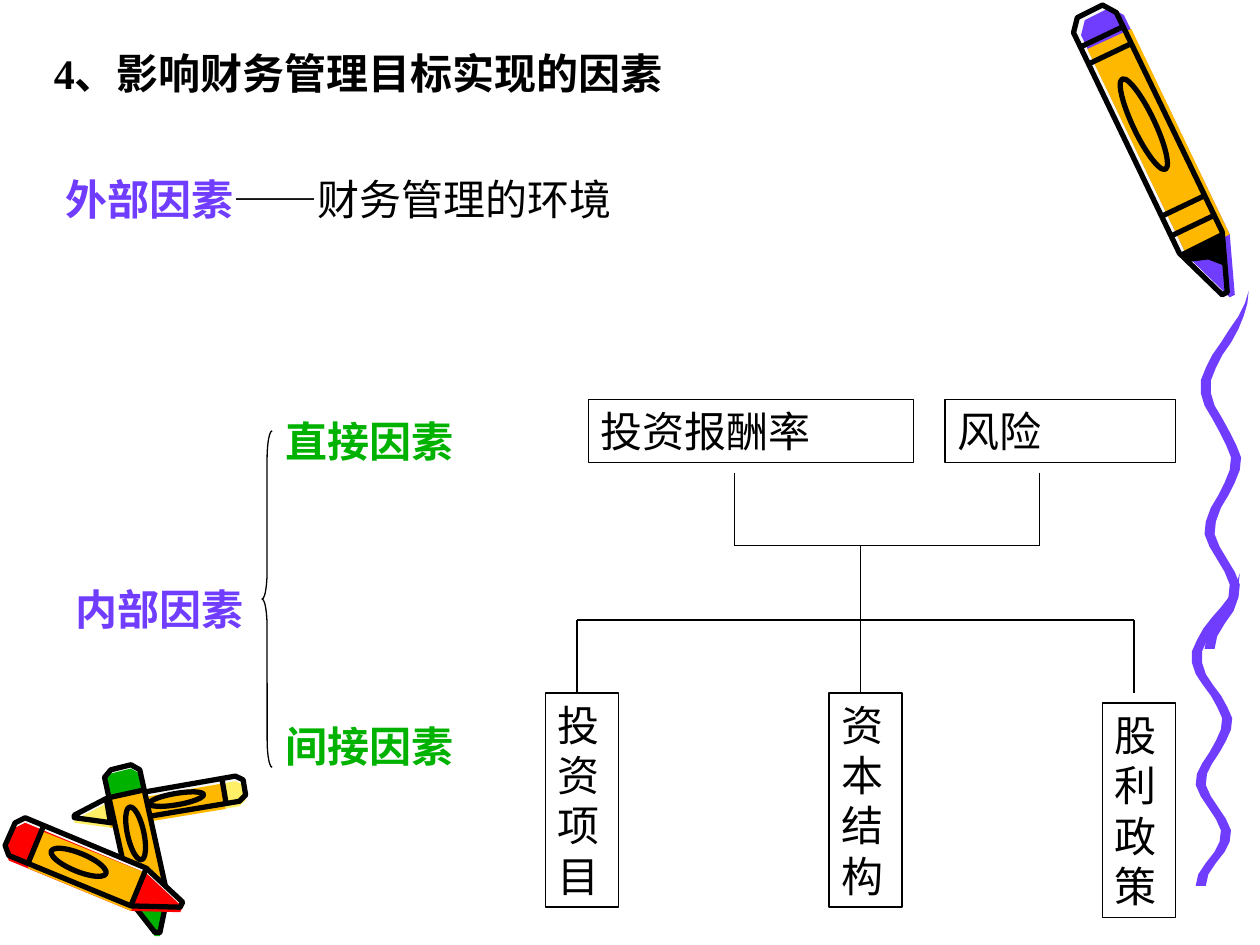
from dataclasses import dataclass
from math import atan2, cos, degrees, hypot, pi
from lxml.etree import SubElement
from pptx import Presentation
from pptx.dml.color import RGBColor
from pptx.enum.shapes import MSO_CONNECTOR, MSO_SHAPE
from pptx.enum.text import MSO_ANCHOR, MSO_AUTO_SIZE, PP_ALIGN
from pptx.oxml.ns import qn
from pptx.util import Inches, Pt


@dataclass(frozen=True)
class Theme:
    black: str = "000000"
    white: str = "F8F8F8"
    purple: str = "703DFF"
    green: str = "00B200"
    orange: str = "FFB800"
    yellow: str = "FFEF66"
    red: str = "FF0000"
    font: str = "Times New Roman"
    text_size: float = 24
    thin: float = 0.75
    thick: float = 3


THEME = Theme()
FRAME_FORMAT = {
    "word_wrap": True, "auto_size": MSO_AUTO_SIZE.SHAPE_TO_FIT_TEXT,
    "vertical_anchor": MSO_ANCHOR.TOP,
    "margin_left": Inches(0.1), "margin_right": Inches(0.1),
    "margin_top": Inches(0.05), "margin_bottom": Inches(0.05),
}


@dataclass(frozen=True)
class Crayon:
    blunt_end: tuple
    tip: tuple
    width: float
    core_color: str
    color_shift: tuple        # the colour is printed slightly off the black outline
    sleeve: tuple             # start and end along the crayon, 0 blunt end, 1 tip
    bands: tuple              # positions of the black rings along the crayon
    shaded_tip: bool = False

    @property
    def direction(self):
        return self.tip[0] - self.blunt_end[0], self.tip[1] - self.blunt_end[1]

    @property
    def length(self):
        return hypot(*self.direction)

    def point(self, along, across, shift=(0, 0)):
        """Place a point given as fractions of the length and of the width."""
        run, rise = self.direction
        sideways = across * self.width / self.length
        return (self.blunt_end[0] + along * run + sideways * rise + shift[0],
                self.blunt_end[1] + along * rise - sideways * run + shift[1])

    def points(self, local_points, shift=(0, 0)):
        return [self.point(along, across, shift) for along, across in local_points]


LARGE_CRAYON = Crayon((8.65, 0.09), (9.72, 2.33), 0.38, THEME.purple, (0.06, 0.02),
                      (0.09, 0.82), (0.09, 0.15, 0.69, 0.76), shaded_tip=True)
SMALL_CRAYONS = [
    Crayon((1.94, 6.25), (0.59, 6.48), 0.2, THEME.yellow, (0, 0.04), (0.12, 0.8), (0.12, 0.8)),
    Crayon((0.96, 6.09), (1.25, 7.4), 0.29, THEME.green, (0, 0.03), (0.14, 0.8), (0.16, 0.8)),
    Crayon((0.08, 6.62), (1.44, 7.18), 0.32, THEME.red, (0, 0.04), (0.15, 0.75), (0.15, 0.75)),
]


def style_line(line, width):
    line.color.rgb = RGBColor.from_string(THEME.black)
    line.width = Pt(width)


def add_polygon(slide, points, color, line_width=None):
    hundredths = [(round(x * 100), round(y * 100)) for x, y in points]
    builder = slide.shapes.build_freeform(*hundredths[0], scale=Inches(0.01))
    builder.add_line_segments(hundredths[1:], close=True)
    shape = builder.convert_to_shape()
    shape.shadow.inherit = False
    if color:
        shape.fill.solid()
        shape.fill.fore_color.rgb = RGBColor.from_string(color)
    else:
        shape.fill.background()
    if line_width:
        style_line(shape.line, line_width)
    else:
        shape.line.fill.background()


def add_line(slide, start, end, width=THEME.thin):
    ends = [Inches(value) for value in (*start, *end)]
    connector = slide.shapes.add_connector(MSO_CONNECTOR.STRAIGHT, *ends)
    style_line(connector.line, width)
    SubElement(connector._element.spPr, qn("a:effectLst"))


def add_preset(slide, preset, *box, line_width=THEME.thin):
    shape = slide.shapes.add_shape(preset, *[Inches(value) for value in box])
    shape.shadow.inherit = False
    shape.fill.background()
    style_line(shape.line, line_width)
    return shape


def write_text(shape, runs):
    for name, value in FRAME_FORMAT.items():
        setattr(shape.text_frame, name, value)
    paragraph = shape.text_frame.paragraphs[0]
    paragraph.alignment = PP_ALIGN.LEFT
    for text, color, bold in runs:
        run = paragraph.add_run()
        run.text = text
        font_format = {"name": THEME.font, "size": Pt(THEME.text_size), "bold": bold}
        for name, value in font_format.items():
            setattr(run.font, name, value)
        run.font.color.rgb = RGBColor.from_string(color)


def add_label(slide, left, top, width, *runs):
    box = [Inches(value) for value in (left, top, width, 0.5)]
    write_text(slide.shapes.add_textbox(*box), runs)


def add_box(slide, text, *box):
    write_text(add_preset(slide, MSO_SHAPE.RECTANGLE, *box), [(text, THEME.black, False)])


def add_crayon(slide, crayon):
    # One half of the outline, mirrored across the axis for the other half
    sleeve_start, shoulder = crayon.sleeve
    half = [(0, 0.3), (0.04, 0.5), (shoulder, 0.5), (1, 0.06)]
    outline = half + [(along, -across) for along, across in reversed(half)]
    sleeve = [(sleeve_start, -0.5), (sleeve_start, 0.5), (shoulder, 0.5), (shoulder, -0.5)]

    # White paper, shifted colours, then the black drawing on top
    add_polygon(slide, crayon.points(outline), THEME.white)
    add_polygon(slide, crayon.points(outline, crayon.color_shift), crayon.core_color)
    add_polygon(slide, crayon.points(sleeve, crayon.color_shift), THEME.orange)
    add_polygon(slide, crayon.points(outline), None, THEME.thick)
    for along in crayon.bands:
        add_line(slide, crayon.point(along, -0.5), crayon.point(along, 0.5), THEME.thick)
    if crayon.shaded_tip:
        shading = [(shoulder, -0.5), (shoulder, 0.5), (0.92, 0.25), (0.88, 0), (0.86, -0.4)]
        add_polygon(slide, crayon.points(shading), THEME.black)

    # Oval mark on the sleeve, turned along the crayon
    center_x, center_y = crayon.point(0.4, 0)
    length, height = 0.32 * crayon.length, 0.45 * crayon.width
    oval = add_preset(slide, MSO_SHAPE.OVAL, center_x - length / 2, center_y - height / 2,
                      length, height, line_width=THEME.thick)
    run, rise = crayon.direction
    oval.rotation = degrees(atan2(rise, run))


def add_wave(slide, center, top, height, steps=28):
    """Draw a ribbon that swings ever faster and less far on its way down."""
    left_edge, right_edge = [], []
    for step in range(steps + 1):
        progress = step / steps
        swing = 0.1 + 0.11 * (1 - progress) ** 4
        x = center + swing * cos(5 * pi * progress ** 1.25)
        y = top + progress * height
        half_width = 0.04 * min(1, 8 * progress)
        left_edge.append((x - half_width, y))
        right_edge.append((x + half_width, y))
    add_polygon(slide, left_edge + right_edge[::-1], THEME.purple)


def add_decoration(slide):
    for crayon in [LARGE_CRAYON, *SMALL_CRAYONS]:
        add_crayon(slide, crayon)
    for center, top, height in ((9.63, 4.55, 2.48), (9.7, 2.31, 2.84)):
        add_wave(slide, center, top, height)


def add_factor_labels(slide):
    add_label(slide, 0.33, 0.33, 6.17, ("4、影响财务管理目标实现的因素", THEME.black, True))
    add_label(slide, 0.42, 1.33, 5.92, ("外部因素", THEME.purple, True),
              ("——财务管理的环境", THEME.black, False))
    add_label(slide, 0.5, 4.58, 3.17, ("内部因素", THEME.purple, True))
    add_label(slide, 2.17, 3.25, 2.25, ("直接因素", THEME.green, True))
    add_label(slide, 2.17, 5.67, 1.67, ("间接因素", THEME.green, True))
    width, height = 0.08, 2.67
    brace = add_preset(slide, MSO_SHAPE.LEFT_BRACE, 2.08, 3.42, width, height)
    brace.adjustments[0] = height / 12 / width


def add_factor_tree(slide):
    # Direct factors and the bracket below them
    add_box(slide, "投资报酬率", 4.67, 3.17, 2.58, 0.5)
    add_box(slide, "风险", 7.5, 3.17, 1.83, 0.5)
    drop_top, upper_bar, lower_bar, drop_bottom = 3.75, 4.33, 4.92, 5.5
    upper_stems, trunk = (5.83, 8.25), 6.83
    for x in upper_stems:
        add_line(slide, (x, drop_top), (x, upper_bar))
    add_line(slide, (upper_stems[0], upper_bar), (upper_stems[1], upper_bar))
    add_line(slide, (trunk, upper_bar), (trunk, lower_bar))

    # Indirect factors, each hanging from the lower bar
    lower_stems = (4.58, trunk, 9)
    add_line(slide, (lower_stems[0], lower_bar), (lower_stems[-1], lower_bar))
    for x, top, text in zip(lower_stems, (5.5, 5.5, 5.58), ("投资项目", "资本结构", "股利政策")):
        add_line(slide, (x, lower_bar), (x, drop_bottom))
        add_box(slide, text, x - 0.25, top, 0.58, 1.7)


def main():
    presentation = Presentation()
    presentation.slide_width, presentation.slide_height = Inches(10), Inches(7.5)
    slide = presentation.slides.add_slide(presentation.slide_layouts[6])
    add_decoration(slide)
    add_factor_labels(slide)
    add_factor_tree(slide)
    presentation.save("out.pptx")


if __name__ == "__main__":
    main()
